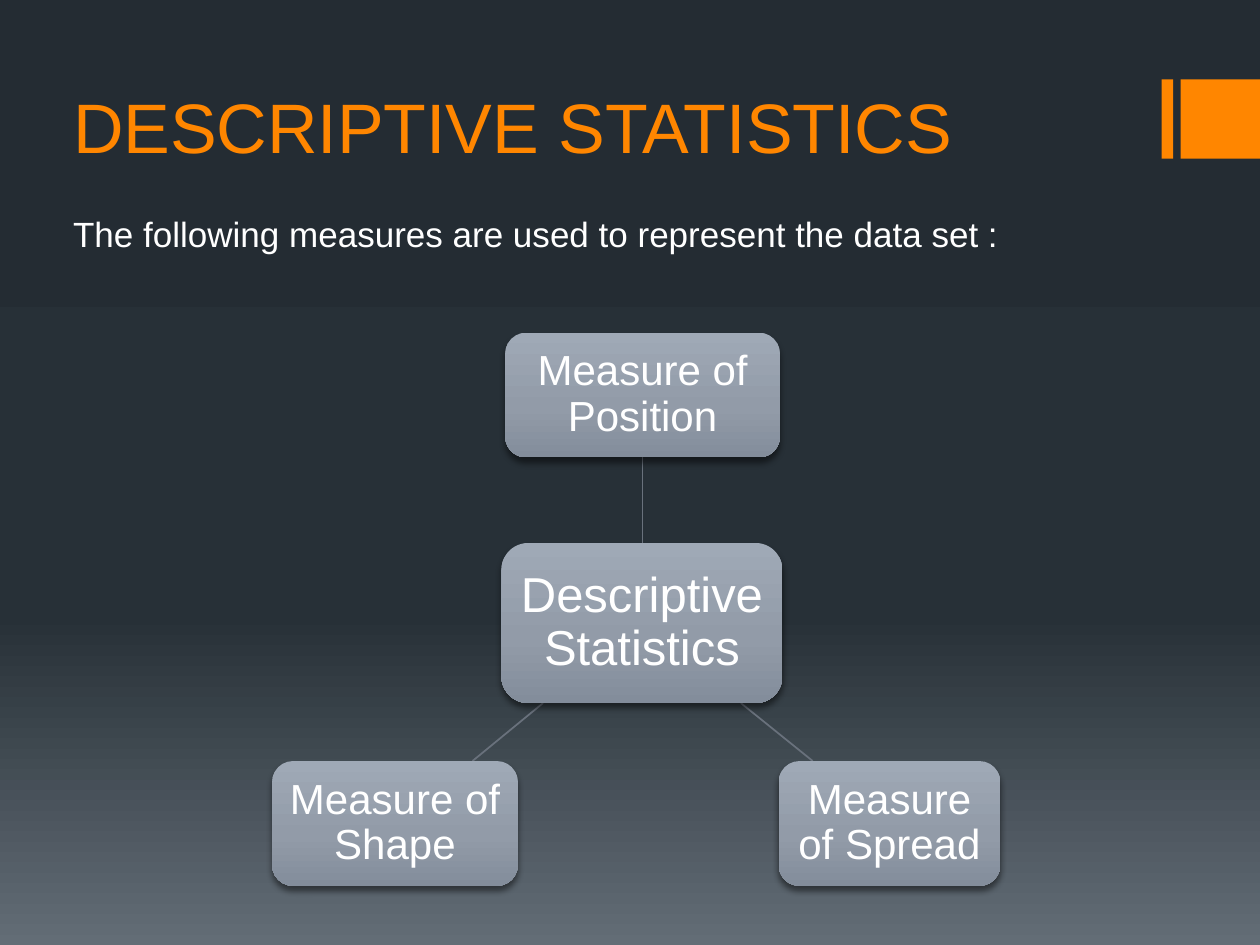
from dataclasses import dataclass
from typing import Any

import lxml.etree
import pptx
import pptx.dml.color
import pptx.enum.shapes
import pptx.enum.text
import pptx.oxml.ns
import pptx.util

Inches = pptx.util.Inches
Pt = pptx.util.Pt
qn = pptx.oxml.ns.qn
Stops = tuple[tuple[int, str], ...]


@dataclass(frozen=True)
class Theme:
    font: str = "Arial"
    accent: str = "FF8600"
    text: str = "FFFFFF"
    line: str = "69717C"
    shadow: str = "000000"
    background: Stops = ((0, "242C33"), (65, "273037"), (100, "636D76"))
    node: Stops = ((0, "9FA9B6"), (60, "929BA8"), (100, "838D9B"))
    title_size: int = 40
    body_size: int = 20
    hub_size: int = 28
    branch_size: int = 24


@dataclass(frozen=True)
class Box:
    left: float
    top: float
    width: float
    height: float

    def lengths(self) -> list[int]:
        return [Inches(n) for n in (self.left, self.top, self.width, self.height)]


@dataclass(frozen=True)
class Node:
    text: str
    box: Box
    size: int
    inset: float = 0.07


@dataclass(frozen=True)
class Link:
    start: tuple[float, float]
    end: tuple[float, float]


THEME = Theme()
BARS = [Box(9.22, 0.63, 0.09, 0.63), Box(9.37, 0.63, 0.63, 0.63)]
LINKS = [
    Link((5.1, 4.31), (5.1, 3.63)),
    Link((5.88, 5.58), (6.45, 6.04)),
    Link((4.31, 5.58), (3.75, 6.04)),
]
NODES = [
    Node("Descriptive Statistics", Box(3.98, 4.31, 2.23, 1.27), THEME.hub_size, 0.08),
    Node("Measure of Position", Box(4.01, 2.64, 2.18, 0.99), THEME.branch_size),
    Node("Measure of Spread", Box(6.18, 6.04, 1.76, 0.99), THEME.branch_size),
    Node("Measure of Shape", Box(2.16, 6.04, 1.95, 0.99), THEME.branch_size),
]


def rgb(color: str) -> pptx.dml.color.RGBColor:
    return pptx.dml.color.RGBColor.from_string(color)


def add_child(parent: Any, tag: str, **attributes: Any) -> Any:
    values = {name: str(value) for name, value in attributes.items()}
    return lxml.etree.SubElement(parent, qn(tag), values)


def set_gradient(fill: Any, element: Any, stops: Stops) -> None:
    fill.gradient()
    fill.gradient_angle = 270
    stop_list = next(element.iter(qn("a:gsLst")))
    for stop in list(stop_list):
        stop_list.remove(stop)
    for position, color in stops:
        stop = add_child(stop_list, "a:gs", pos=position * 1000)
        add_child(stop, "a:srgbClr", val=color)


def set_font(paragraph: Any, size: int, color: str) -> None:
    paragraph.font.name = THEME.font
    paragraph.font.size = Pt(size)
    paragraph.font.color.rgb = rgb(color)


def fill_placeholder(shape: Any, text: str, box: Box, size: int, color: str) -> None:
    shape.left, shape.top, shape.width, shape.height = box.lengths()
    frame = shape.text_frame
    frame.text = text
    frame.word_wrap = False
    frame.auto_size = pptx.enum.text.MSO_AUTO_SIZE.SHAPE_TO_FIT_TEXT
    frame.vertical_anchor = pptx.enum.text.MSO_ANCHOR.TOP
    paragraph = frame.paragraphs[0]
    paragraph.alignment = pptx.enum.text.PP_ALIGN.LEFT
    paragraph.space_before = Pt(0)
    set_font(paragraph, size, color)


def remove_bullet(paragraph: Any) -> None:
    properties = paragraph._p.get_or_add_pPr()
    properties.set("marL", "0")
    properties.set("indent", "0")
    properties.insert_element_before(
        lxml.etree.Element(qn("a:buNone")), "a:tabLst", "a:defRPr", "a:extLst"
    )


def add_bar(slide: Any, box: Box) -> None:
    shape = slide.shapes.add_shape(
        pptx.enum.shapes.MSO_SHAPE.RECTANGLE, *box.lengths()
    )
    shape.shadow.inherit = False
    shape.fill.solid()
    shape.fill.fore_color.rgb = rgb(THEME.accent)
    shape.line.fill.background()


def add_link(slide: Any, link: Link) -> None:
    connector = slide.shapes.add_connector(
        pptx.enum.shapes.MSO_CONNECTOR.STRAIGHT,
        *[Inches(n) for n in link.start + link.end],
    )
    connector.line.color.rgb = rgb(THEME.line)
    connector.line.width = Pt(1)
    add_child(connector._element.spPr, "a:effectLst")


def add_shadow(shape: Any) -> None:
    shape.shadow.inherit = False
    effects = shape._element.spPr.find(qn("a:effectLst"))
    shadow = add_child(
        effects, "a:outerShdw", blurRad=Pt(3.8), dist=Pt(3), dir=90 * 60000,
        rotWithShape=0,
    )
    color = add_child(shadow, "a:srgbClr", val=THEME.shadow)
    add_child(color, "a:alpha", val=48000)


def add_node(slide: Any, node: Node) -> None:
    shape = slide.shapes.add_shape(
        pptx.enum.shapes.MSO_SHAPE.ROUNDED_RECTANGLE, *node.box.lengths()
    )
    set_gradient(shape.fill, shape._element, THEME.node)
    shape.line.fill.background()
    add_shadow(shape)
    frame = shape.text_frame
    frame.text = node.text
    frame.word_wrap = True
    frame.vertical_anchor = pptx.enum.text.MSO_ANCHOR.MIDDLE
    frame.margin_left = frame.margin_right = Inches(node.inset)
    frame.margin_top = frame.margin_bottom = Inches(node.inset)
    paragraph = frame.paragraphs[0]
    paragraph.alignment = pptx.enum.text.PP_ALIGN.CENTER
    paragraph.line_spacing = 0.9
    set_font(paragraph, node.size, THEME.text)


def main() -> None:
    presentation = pptx.Presentation()
    presentation.slide_width = Inches(10)
    presentation.slide_height = Inches(7.5)
    slide = presentation.slides.add_slide(presentation.slide_layouts[1])
    set_gradient(slide.background.fill, slide._element, THEME.background)

    title, body = slide.placeholders
    fill_placeholder(
        title, "DESCRIPTIVE STATISTICS", Box(0.48, 0.61, 7.26, 0.77),
        THEME.title_size, THEME.accent,
    )
    fill_placeholder(
        body, "The following measures are used to represent the data set :",
        Box(0.48, 1.64, 7.61, 0.44), THEME.body_size, THEME.text,
    )
    remove_bullet(body.text_frame.paragraphs[0])

    for bar in BARS:
        add_bar(slide, bar)
    for link in LINKS:
        add_link(slide, link)
    for node in NODES:
        add_node(slide, node)
    presentation.save("out.pptx")


if __name__ == "__main__":
    main()
